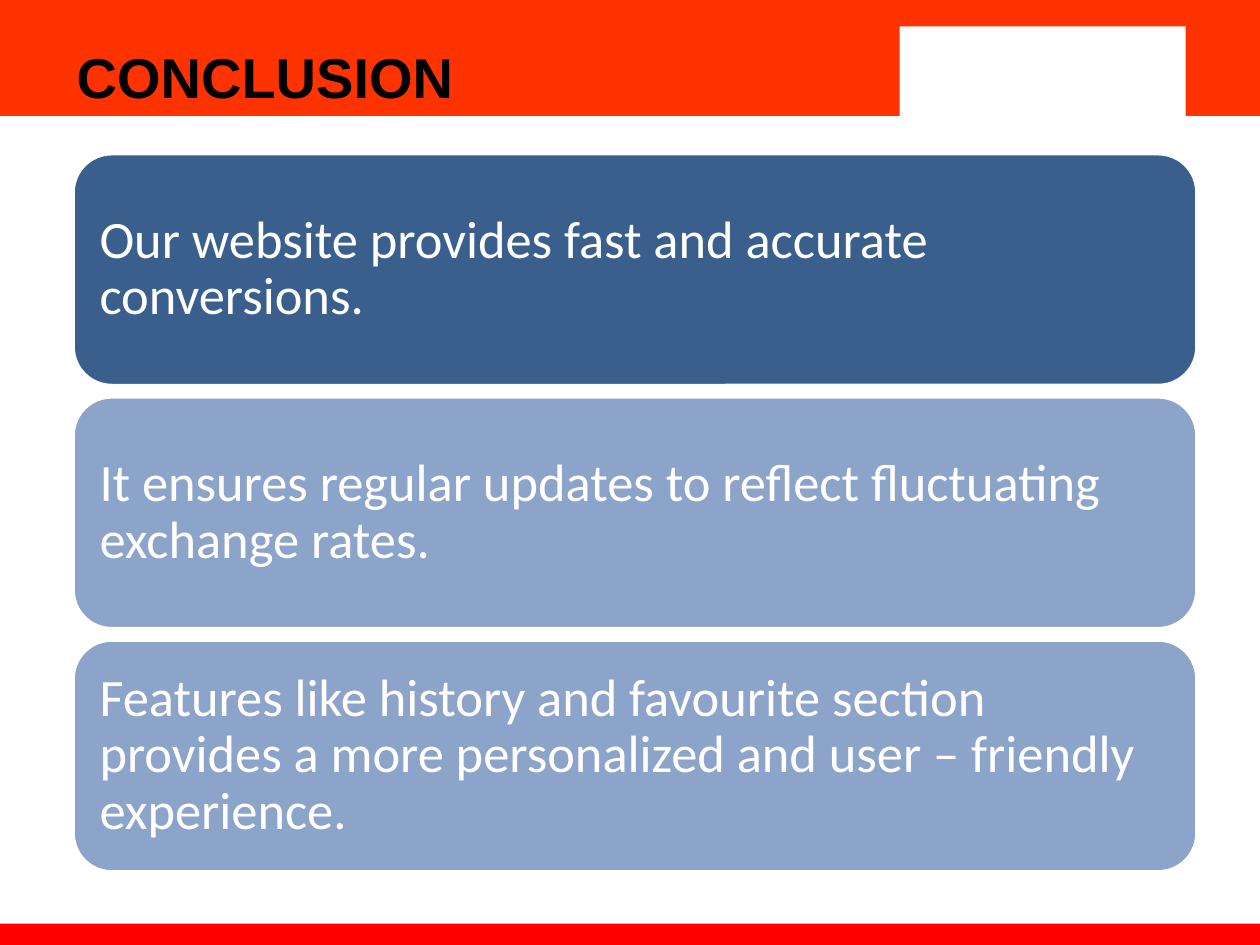
from pptx import Presentation
from pptx.dml.color import RGBColor
from pptx.enum.shapes import MSO_SHAPE
from pptx.enum.text import MSO_ANCHOR, PP_ALIGN
from pptx.util import Inches, Pt

WIDTH, HEIGHT = 10, 7.5
HEADER_HEIGHT = 0.92
CARD_LEFT, CARD_TOP, CARD_WIDTH, CARD_HEIGHT = 0.58, 1.22, 8.92, 1.84
CARD_PITCH = 1.93
CARDS = [
    ("Our website provides fast and accurate conversions.", "3A5F8C"),
    ("It ensures regular updates to reflect fluctuating exchange rates.", "8CA4C9"),
    ("Features like history and favourite section provides a more "
     "personalized and user – friendly experience.", "8CA4C9"),
]


def color(value):
    """Turn a hex string into a colour."""
    return RGBColor.from_string(value)


def add_block(s, kind, box, fill):
    """Add a filled shape without line or shadow."""
    sp = s.shapes.add_shape(kind, *map(Inches, box))
    sp.shadow.inherit = False
    sp.fill.solid()
    sp.fill.fore_color.rgb = color(fill)
    sp.line.fill.background()
    return sp


def set_text(tf, text, font, size, fill, bold=False):
    """Write one left-aligned paragraph and format its run."""
    tf.text = text
    tf.word_wrap = True
    p = tf.paragraphs[0]
    p.alignment = PP_ALIGN.LEFT
    r = p.runs[0]
    r.font.name, r.font.size, r.font.bold = font, Pt(size), bold
    r.font.color.rgb = color(fill)
    return p


def add_title(s, text):
    """Add the heading over the header band."""
    tf = s.shapes.add_textbox(*map(Inches, (0.51, 0.29, 5.91, 0.64))).text_frame
    set_text(tf, text, "Arial", 32, "000000", bold=True)


def add_card(s, row, text, fill):
    """Add a rounded statement card on the given row."""
    box = (CARD_LEFT, CARD_TOP + row * CARD_PITCH, CARD_WIDTH, CARD_HEIGHT)
    sp = add_block(s, MSO_SHAPE.ROUNDED_RECTANGLE, box, fill)
    sp.line.color.rgb = color("FFFFFF")
    sp.line.width = Pt(2)
    tf = sp.text_frame
    tf.vertical_anchor = MSO_ANCHOR.MIDDLE
    tf.margin_left = tf.margin_right = tf.margin_top = tf.margin_bottom = Inches(0.12)
    set_text(tf, text, "Calibri", 30, "FFFFFF").line_spacing = 0.9


def main():
    """Build and save the conclusion slide."""
    prs = Presentation()
    prs.slide_width, prs.slide_height = Inches(WIDTH), Inches(HEIGHT)
    s = prs.slides.add_slide(prs.slide_layouts[6])
    bands = [
        ((0, 0, WIDTH, HEADER_HEIGHT), "FF3300"),
        ((0, 7.33, WIDTH, HEIGHT - 7.33), "FF0000"),
        ((7.14, 0.21, 2.27, 0.75), "FFFFFF"),
    ]
    for box, fill in bands:
        add_block(s, MSO_SHAPE.RECTANGLE, box, fill)
    add_title(s, "CONCLUSION")
    for row, (text, fill) in enumerate(CARDS):
        add_card(s, row, text, fill)
    prs.save("out.pptx")


if __name__ == "__main__":
    main()
